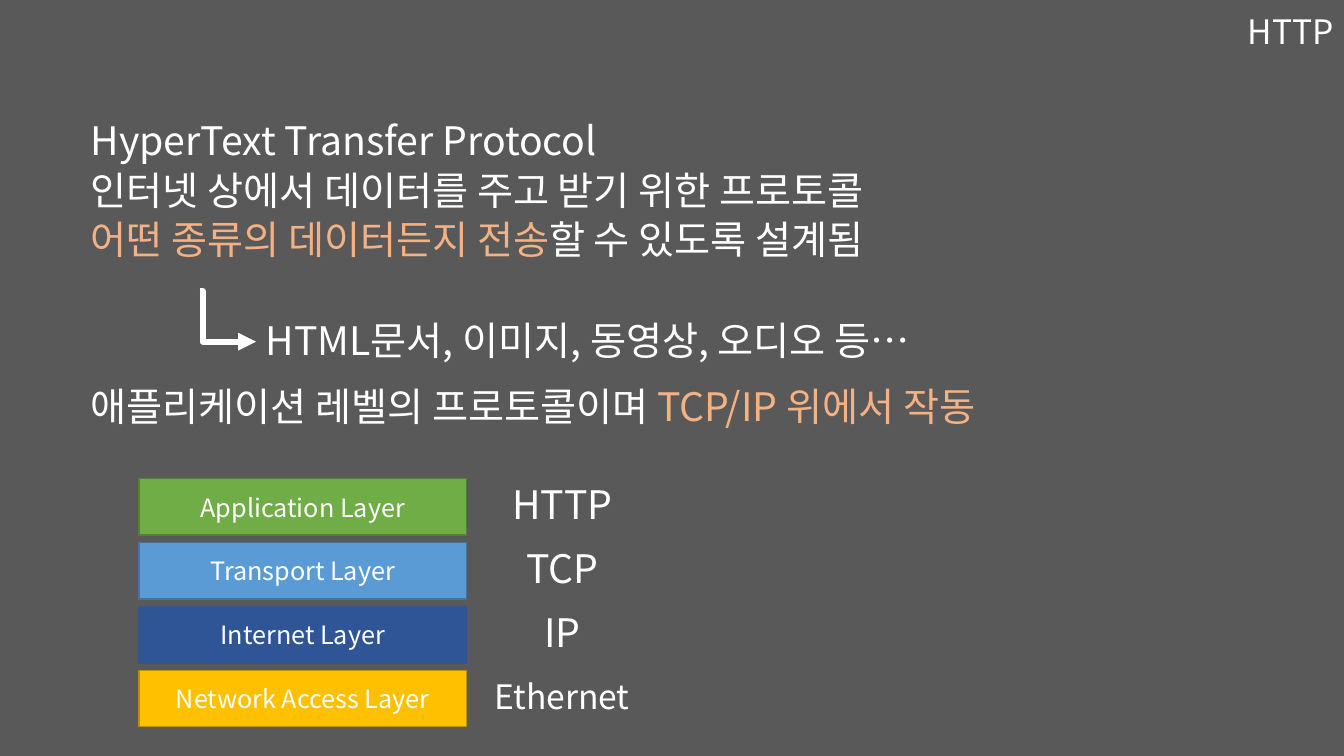
from lxml.etree import SubElement
from pptx import Presentation
from pptx.dml.color import RGBColor
from pptx.enum.shapes import MSO_CONNECTOR, MSO_SHAPE
from pptx.enum.text import MSO_ANCHOR, MSO_AUTO_SIZE, PP_ALIGN
from pptx.oxml.ns import qn
from pptx.util import Pt

WHITE = "FFFFFF"
ORANGE = "F4B183"
FONT = "Noto Sans CJK KR"


def colour(value):
    return RGBColor.from_string(value)


def add_text(para, text, size=28, color=WHITE, align=PP_ALIGN.LEFT, line_spacing=0.9, before=10):
    para.alignment = align
    para.line_spacing = line_spacing
    para.space_before = Pt(before)
    span = para.add_run()
    span.text = text
    span.font.size = Pt(size)
    span.font.color.rgb = colour(color)
    span.font.name = FONT
    SubElement(span._r.get_or_add_rPr(), qn("a:ea"), typeface=FONT)


class SlideBuilder:
    def __init__(self, deck, background):
        self.page = deck.slides.add_slide(deck.slide_layouts[1])
        self.page.background.fill.solid()
        self.page.background.fill.fore_color.rgb = colour(background)

    def frame(self, box, anchor):
        frame = box.text_frame
        frame.word_wrap = True
        frame.auto_size = MSO_AUTO_SIZE.NONE
        frame.vertical_anchor = anchor
        return frame

    def place(self, box, left, top, width, height):
        box.left, box.top, box.width, box.height = Pt(left), Pt(top), Pt(width), Pt(height)

    def title(self, text, *area):
        box = self.page.shapes.title
        self.place(box, *area)
        frame = self.frame(box, MSO_ANCHOR.TOP)
        add_text(frame.paragraphs[0], text, size=24, align=PP_ALIGN.RIGHT)

    def body(self, lines, *area):
        box = self.page.placeholders[1]
        self.place(box, *area)
        frame = self.frame(box, MSO_ANCHOR.TOP)
        for index, spans in enumerate(lines):
            para = frame.add_paragraph() if index else frame.paragraphs[0]
            for text, color in spans:
                add_text(para, text, color=color, before=5 if index else 10)
            properties = para._p.get_or_add_pPr()
            properties.set("marL", "0")
            properties.set("indent", "0")
            SubElement(properties, qn("a:buNone"))

    def text(self, spans, left, top, width, height, anchor=MSO_ANCHOR.TOP, **style):
        box = self.page.shapes.add_textbox(Pt(left), Pt(top), Pt(width), Pt(height))
        para = self.frame(box, anchor).paragraphs[0]
        for text, color in spans:
            add_text(para, text, color=color, **style)

    def layer(self, group, text, fill, border, left, top, width, height):
        box = group.shapes.add_shape(MSO_SHAPE.RECTANGLE, Pt(left), Pt(top), Pt(width), Pt(height))
        box.shadow.inherit = False
        box.fill.solid()
        box.fill.fore_color.rgb = colour(fill)
        box.line.color.rgb = colour(border)
        box.line.width = Pt(1)
        para = self.frame(box, MSO_ANCHOR.MIDDLE).paragraphs[0]
        add_text(para, text, size=18, align=PP_ALIGN.CENTER, line_spacing=1, before=0)

    def elbow_arrow(self, left, top, right, bottom, bend):
        arrow = self.page.shapes.add_connector(
            MSO_CONNECTOR.ELBOW, Pt(left), Pt(top), Pt(right), Pt(bottom))
        arrow.line.color.rgb = colour(WHITE)
        arrow.line.width = Pt(4.25)
        SubElement(arrow.line._get_or_add_ln(), qn("a:tailEnd"), type="triangle")
        properties = arrow._element.spPr
        SubElement(properties, qn("a:effectLst"))
        guides = properties.find(qn("a:prstGeom")).get_or_add_avLst()
        SubElement(guides, qn("a:gd"), name="adj1", fmla=f"val {bend}")


def main():
    deck = Presentation()
    deck.slide_width, deck.slide_height = Pt(960), Pt(540)
    slide = SlideBuilder(deck, "595959")

    slide.title("HTTP", 441.4, 7.2, 518.4, 34.6)
    slide.body([
        [("HyperText Transfer Protocol", WHITE)],
        [("인터넷 상에서 데이터를 주고 받기 위한 프로토콜", WHITE)],
        [("어떤 종류의 데이터든지 전송", ORANGE), ("할 수 있도록 설계됨", WHITE)],
    ], 57.6, 83.5, 833.8, 123.2)
    slide.elbow_arrow(142.6, 208.1, 182.9, 244.1, bend=5400)
    slide.text([("HTML문서, 이미지, 동영상, 오디오 등…", WHITE)], 182.9, 226.1, 833.8, 40.3)
    slide.text([("애플리케이션 레벨의 프로토콜이며 ", WHITE), ("TCP/IP 위에서 작동", ORANGE)],
               57.6, 273.6, 833.8, 40.3)

    layers = [
        ("Application Layer", "70AD47", "538035", "HTTP", 28),
        ("Transport Layer", "5B9BD5", "43739E", "TCP", 28),
        ("Internet Layer", "2F5597", "325491", "IP", 28),
        ("Network Access Layer", "FFC000", "BD8E00", "Ethernet", 24),
    ]
    stack = slide.page.shapes.add_group_shape()
    for index, (name, fill, border, protocol, size) in enumerate(layers):
        top = 342 + index * 45.6
        slide.layer(stack, name, fill, border, 99.2, top, 234, 40.3)
        slide.text([(protocol, WHITE)], 333.2, top, 136.8, 40.3,
                   anchor=MSO_ANCHOR.MIDDLE, size=size, align=PP_ALIGN.CENTER)

    deck.save("out.pptx")


if __name__ == "__main__":
    main()
